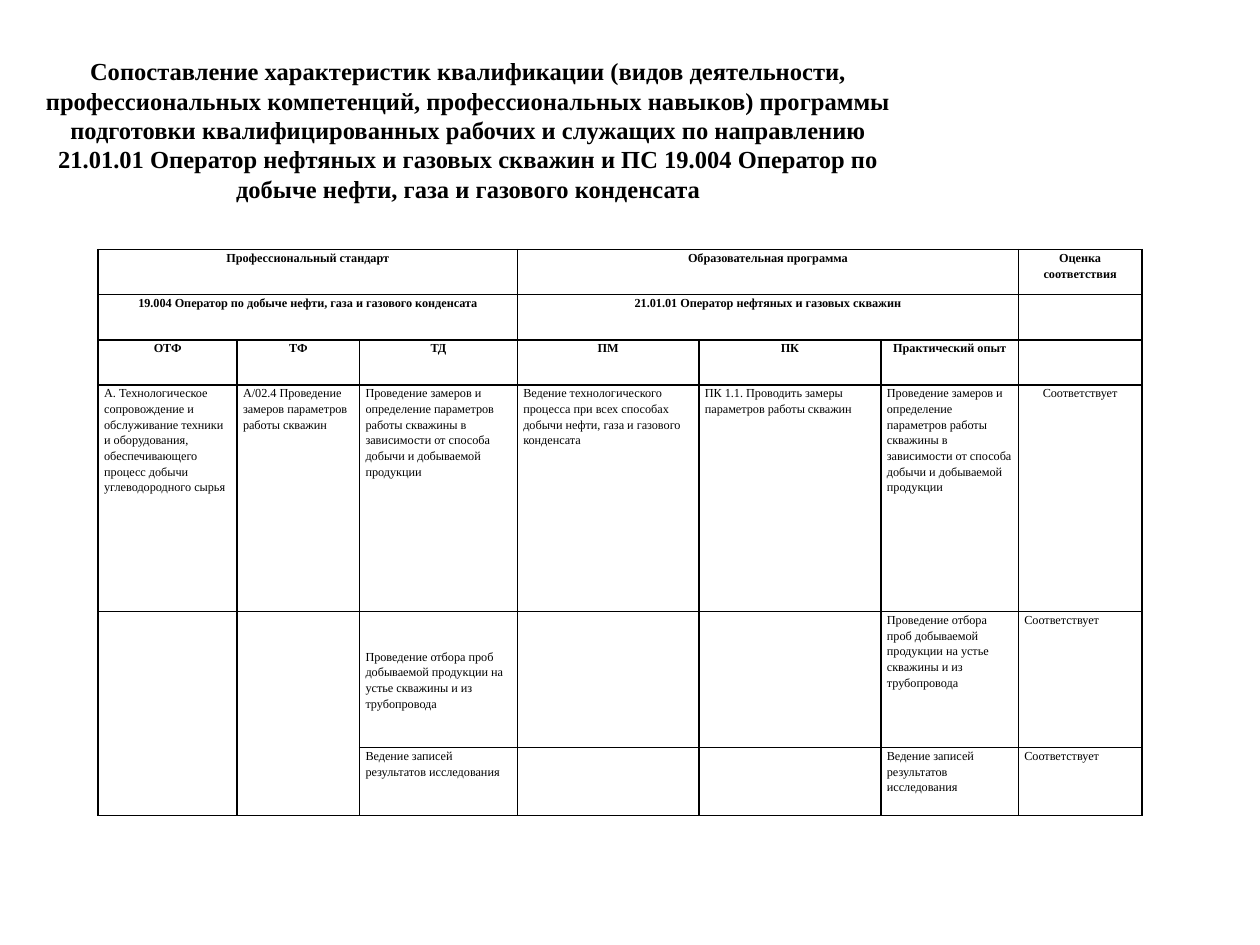
from lxml import etree
from pptx import Presentation
from pptx import util as u
from pptx.dml.color import RGBColor
from pptx.enum import text
from pptx.oxml.ns import qn

BLACK = RGBColor(0, 0, 0)
FONT = "Times New Roman"
CENTER, LEFT = text.PP_ALIGN.CENTER, text.PP_ALIGN.LEFT

TITLE = (
    "Сопоставление характеристик квалификации (видов деятельности, "
    "профессиональных компетенций, профессиональных навыков) программы "
    "подготовки квалифицированных рабочих и служащих по направлению "
    "21.01.01 Оператор нефтяных и газовых скважин и ПС 19.004 Оператор по "
    "добыче нефти, газа и газового конденсата"
)
MEASURING = ("Проведение замеров и определение параметров работы скважины в "
             "зависимости от способа добычи и добываемой продукции")
SAMPLING = ("Проведение отбора проб добываемой продукции на устье скважины "
            "и из трубопровода")
RECORDS = "Ведение записей результатов исследования"
MATCH = "Соответствует"

ROWS = [
    ["Профессиональный стандарт", "", "", "Образовательная программа", "", "",
     "Оценка соответствия"],
    ["19.004 Оператор по добыче нефти, газа и газового конденсата", "", "",
     "21.01.01 Оператор нефтяных и газовых скважин", "", "", ""],
    ["ОТФ", "ТФ", "ТД", "ПМ", "ПК", "Практический опыт", ""],
    ["А. Технологическое сопровождение и обслуживание техники и оборудования, "
     "обеспечивающего процесс добычи углеводородного сырья",
     "А/02.4 Проведение замеров параметров работы скважин",
     MEASURING,
     "Ведение технологического процесса при всех способах добычи нефти, газа "
     "и газового конденсата",
     "ПК 1.1. Проводить замеры параметров работы скважин",
     MEASURING, MATCH],
    ["", "", SAMPLING, "", "", SAMPLING, MATCH],
    ["", "", RECORDS, "", "", RECORDS, MATCH],
]
HEADER_ROWS = 3
COL_WIDTHS = [2.8, 2.47, 3.18, 3.66, 3.67, 2.77, 2.49]
ROW_HEIGHTS = [0.91, 0.91, 0.91, 4.57, 2.74, 1.37]
# first row, first column, last row, last column
MERGES = [(0, 0, 0, 2), (0, 3, 0, 5), (1, 0, 1, 2), (1, 3, 1, 5),
          (4, 0, 5, 0), (4, 1, 5, 1)]


def format_paragraph(p, size, bold, align):
    p.alignment = align
    for r in p.runs:
        r.font.name = FONT
        r.font.size = u.Pt(size)
        r.font.bold = bold
        r.font.color.rgb = BLACK


def add_borders(cell):
    tc_pr = cell._tc.get_or_add_tcPr()
    for i, side in enumerate(("a:lnL", "a:lnR", "a:lnT", "a:lnB")):
        ln = etree.Element(qn(side), w=str(u.Pt(1)))
        fill = etree.SubElement(ln, qn("a:solidFill"))
        etree.SubElement(fill, qn("a:srgbClr"), val=str(BLACK))
        tc_pr.insert(i, ln)


prs = Presentation()
prs.slide_width, prs.slide_height = u.Cm(25.4), u.Cm(19.05)
s = prs.slides.add_slide(prs.slide_layouts[5])

title = s.shapes.title
title.left, title.top = u.Cm(0.41), u.Cm(0.99)
title.width, title.height = u.Cm(18.06), u.Cm(3.25)
tf = title.text_frame
tf.text = TITLE
tf.word_wrap = True
tf.auto_size = text.MSO_AUTO_SIZE.SHAPE_TO_FIT_TEXT
tf.vertical_anchor = text.MSO_ANCHOR.MIDDLE
format_paragraph(tf.paragraphs[0], 14, True, CENTER)

table = s.shapes.add_table(
    len(ROWS), len(COL_WIDTHS), u.Cm(1.98), u.Cm(5.03),
    u.Cm(sum(COL_WIDTHS)), u.Cm(sum(ROW_HEIGHTS))).table
table.first_row = table.horz_banding = False
for column, width in zip(table.columns, COL_WIDTHS):
    column.width = u.Cm(width)
for row, height in zip(table.rows, ROW_HEIGHTS):
    row.height = u.Cm(height)

for i, row in enumerate(ROWS):
    header = i < HEADER_ROWS
    for j, words in enumerate(row):
        cell = table.cell(i, j)
        cell.fill.background()
        add_borders(cell)
        cell.margin_left = cell.margin_right = u.Cm(0.12)
        cell.margin_top = cell.margin_bottom = 0
        cell.text_frame.text = words
        p = cell.text_frame.paragraphs[0]
        p.line_spacing = 1.15
        centred = header or (i, j) == (3, 6)
        format_paragraph(p, 7, header, CENTER if centred else LEFT)
table.cell(4, 2).vertical_anchor = text.MSO_ANCHOR.MIDDLE

for top, left, bottom, right in MERGES:
    table.cell(top, left).merge(table.cell(bottom, right))

prs.save("out.pptx")
